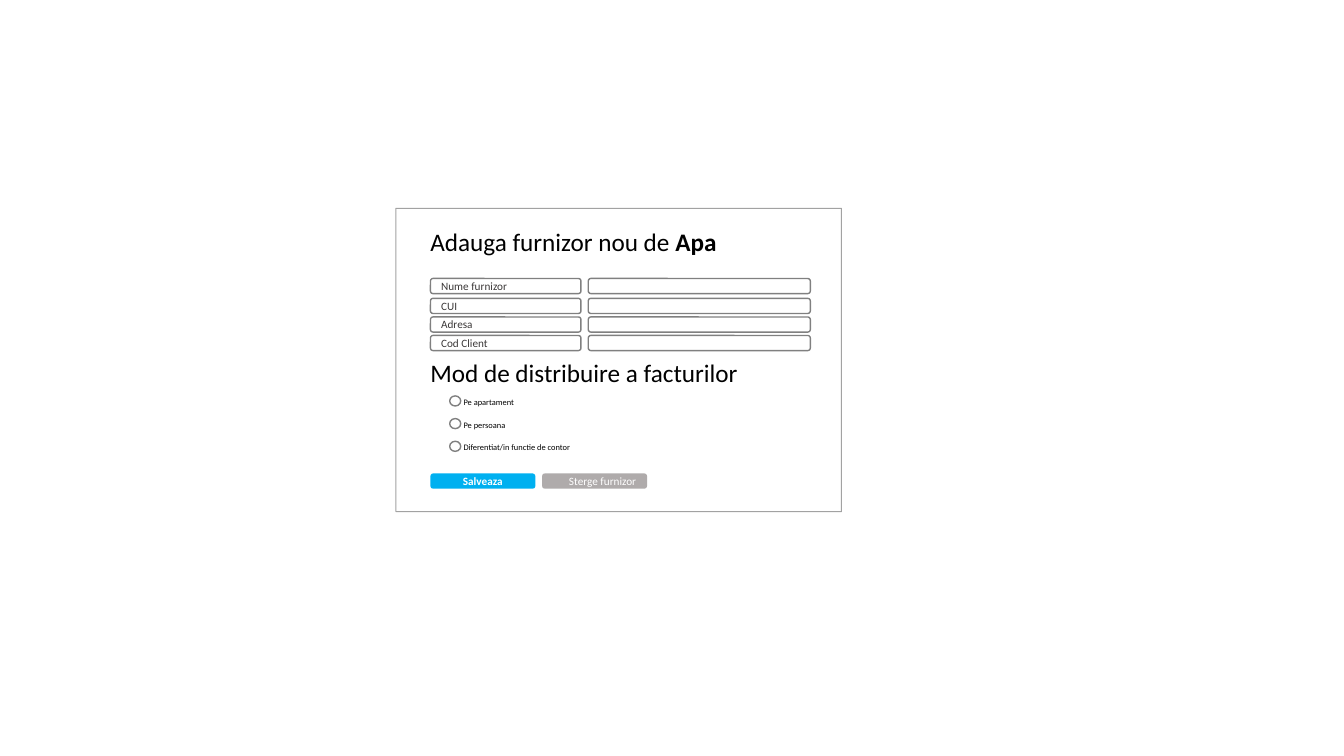
from lxml import etree
from pptx import Presentation
from pptx.dml.color import RGBColor
from pptx.enum.shapes import MSO_SHAPE
from pptx.enum.text import MSO_ANCHOR, MSO_AUTO_SIZE, PP_ALIGN
from pptx.oxml.ns import qn
from pptx.util import Pt

RECTANGLE = MSO_SHAPE.RECTANGLE
ROUNDED = MSO_SHAPE.ROUNDED_RECTANGLE
OVAL = MSO_SHAPE.OVAL
LEFT, CENTER, RIGHT = PP_ALIGN.LEFT, PP_ALIGN.CENTER, PP_ALIGN.RIGHT

FONT = "Calibri"
COLORS = {"white": "FFFFFF", "black": "000000", "outline": "808080",
          "label": "3B3838", "save": "00B0F0", "delete": "AFABAB"}

# Headings: runs as (text, bold), top, width
HEADINGS = [
    ([("Adauga furnizor nou de ", False), ("Apa", True)], 158.3, 220.3),
    ([("Mod de distribuire a facturilor", False)], 252, 236.9),
]
# Form fields: label, top
FIELDS = [("Nume furnizor", 198.9), ("CUI", 213.1), ("Adresa", 226.4), ("Cod Client", 239.6)]
# Radio options: label, label width
OPTIONS = [("Pe apartament", 51.1), ("Pe persoana", 44.6),
           ("Diferentiat/in functie de contor", 92.2)]
# Buttons: label, fill, alignment, bold
BUTTONS = [("Salveaza", "save", CENTER, True), ("Sterge furnizor", "delete", RIGHT, False)]

PANEL = (282.8, 148.8, 318.2, 216.7)
FORM_LEFT = 307.5
HEADING_LEFT, HEADING_HEIGHT = 300.3, 29
ROW_HEIGHT = 10.8
LABEL_WIDTH, INPUT_LEFT, INPUT_WIDTH = 107.5, 420.2, 158.6
RADIO_LEFT, RADIO_TOP, RADIO_WIDTH, RADIO_HEIGHT = 321.2, 282.8, 7.9, 7.2
OPTION_LEFT, OPTION_TOP, OPTION_HEIGHT, OPTION_PITCH = 324, 280, 14.5, 16.2
BUTTON_TOP, BUTTON_WIDTH, BUTTON_PITCH = 338.2, 74.9, 79.8


def color(name):
    return RGBColor.from_string(COLORS[name])


def set_font(paragraph, size, color_name, bold=None):
    paragraph.font.name = FONT
    paragraph.font.size = Pt(size)
    paragraph.font.color.rgb = color(color_name)
    paragraph.font.bold = bold


def add_box(slide, kind, bounds, fill=None, line_width=None):
    """Add a shape; without a fill or line width that part is left empty."""
    shape = slide.shapes.add_shape(kind, *map(Pt, bounds))
    shape.shadow.inherit = False
    if fill:
        shape.fill.solid()
        shape.fill.fore_color.rgb = color(fill)
    else:
        shape.fill.background()
    if line_width:
        shape.line.color.rgb = color("outline")
        shape.line.width = Pt(line_width)
    else:
        shape.line.fill.background()
    return shape


def write_in_box(shape, text, color_name, alignment=LEFT, bold=None):
    frame = shape.text_frame
    frame.vertical_anchor = MSO_ANCHOR.MIDDLE
    paragraph = frame.paragraphs[0]
    paragraph.text = text
    paragraph.alignment = alignment
    set_font(paragraph, 8, color_name, bold)


def add_text(slide, bounds, runs, size):
    frame = slide.shapes.add_textbox(*map(Pt, bounds)).text_frame
    frame.word_wrap = False
    frame.auto_size = MSO_AUTO_SIZE.SHAPE_TO_FIT_TEXT
    paragraph = frame.paragraphs[0]
    set_font(paragraph, size, "black")
    for text, bold in runs:
        run = paragraph.add_run()
        run.text = text
        if bold:
            run.font.bold = True


def main():
    presentation = Presentation()
    presentation.slide_width, presentation.slide_height = Pt(960), Pt(540)
    slide = presentation.slides.add_slide(presentation.slide_layouts[6])

    panel = add_box(slide, RECTANGLE, PANEL, "white", 0.75)
    line_color = panel.line._ln.find(".//" + qn("a:srgbClr"))
    etree.SubElement(line_color, qn("a:alpha"), val="72000")

    for label, top in FIELDS:
        label_box = add_box(slide, ROUNDED, (FORM_LEFT, top, LABEL_WIDTH, ROW_HEIGHT), line_width=1)
        write_in_box(label_box, label, "label")
        add_box(slide, ROUNDED, (INPUT_LEFT, top, INPUT_WIDTH, ROW_HEIGHT), line_width=1)

    for runs, top, width in HEADINGS:
        add_text(slide, (HEADING_LEFT, top, width, HEADING_HEIGHT), runs, 18)

    for index, (label, width) in enumerate(OPTIONS):
        offset = index * OPTION_PITCH
        add_text(slide, (OPTION_LEFT, OPTION_TOP + offset, width, OPTION_HEIGHT),
                 [(label, False)], 6)
        add_box(slide, OVAL, (RADIO_LEFT, RADIO_TOP + offset, RADIO_WIDTH, RADIO_HEIGHT),
                line_width=1)

    for index, (label, fill, alignment, bold) in enumerate(BUTTONS):
        left = FORM_LEFT + index * BUTTON_PITCH
        button = add_box(slide, ROUNDED, (left, BUTTON_TOP, BUTTON_WIDTH, ROW_HEIGHT), fill)
        write_in_box(button, label, "white", alignment, bold)

    presentation.save("out.pptx")


if __name__ == "__main__":
    main()
